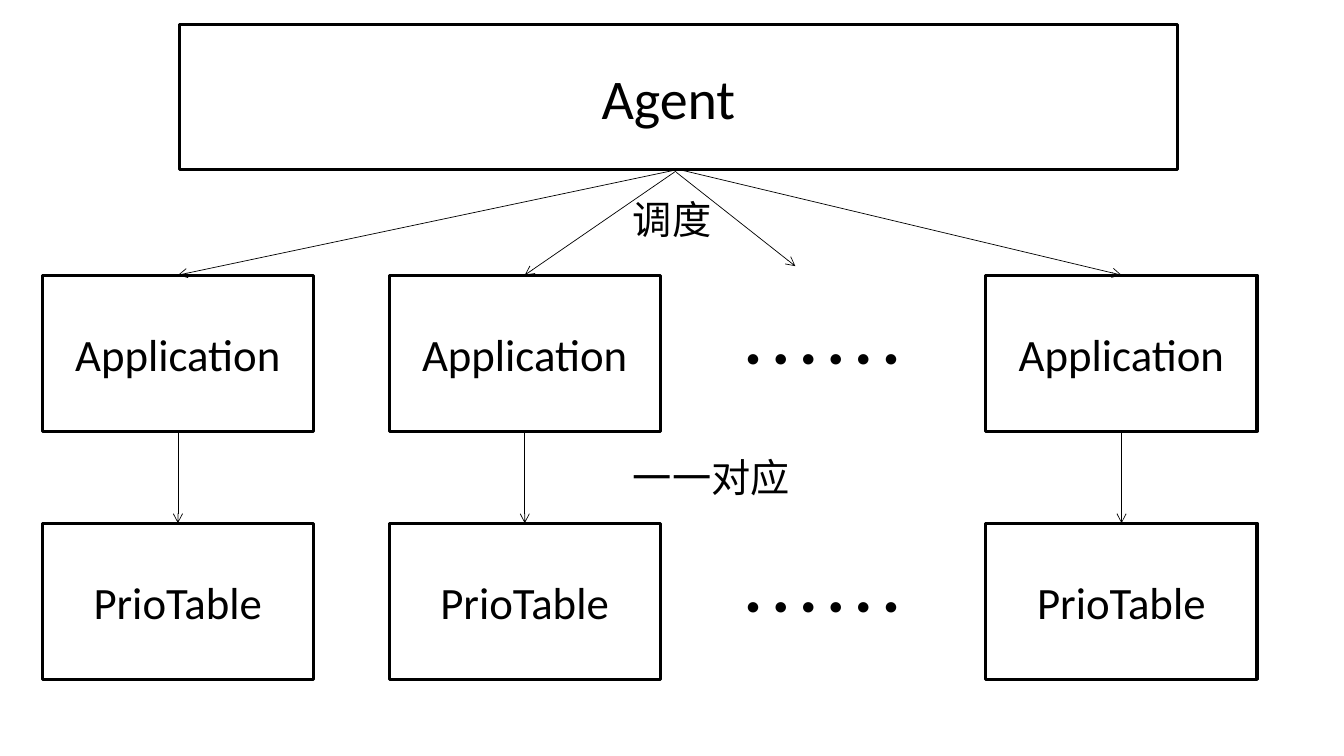
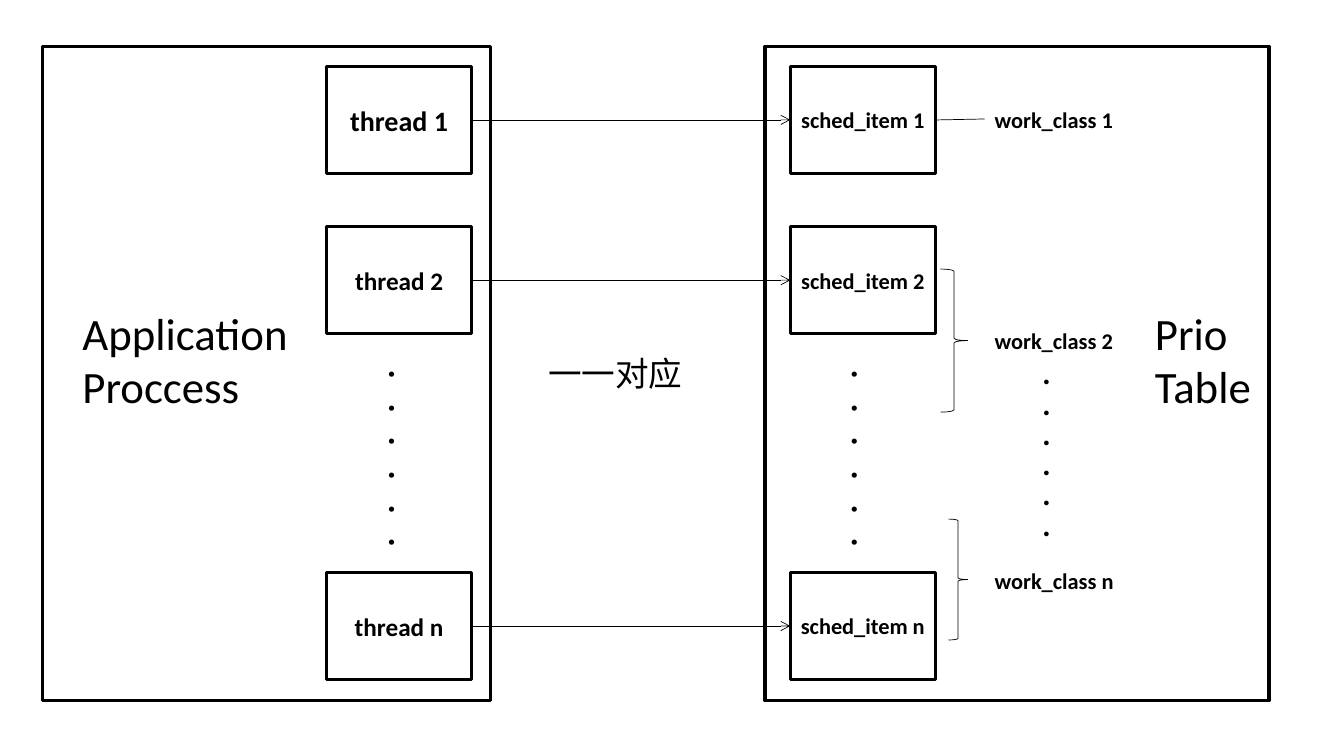
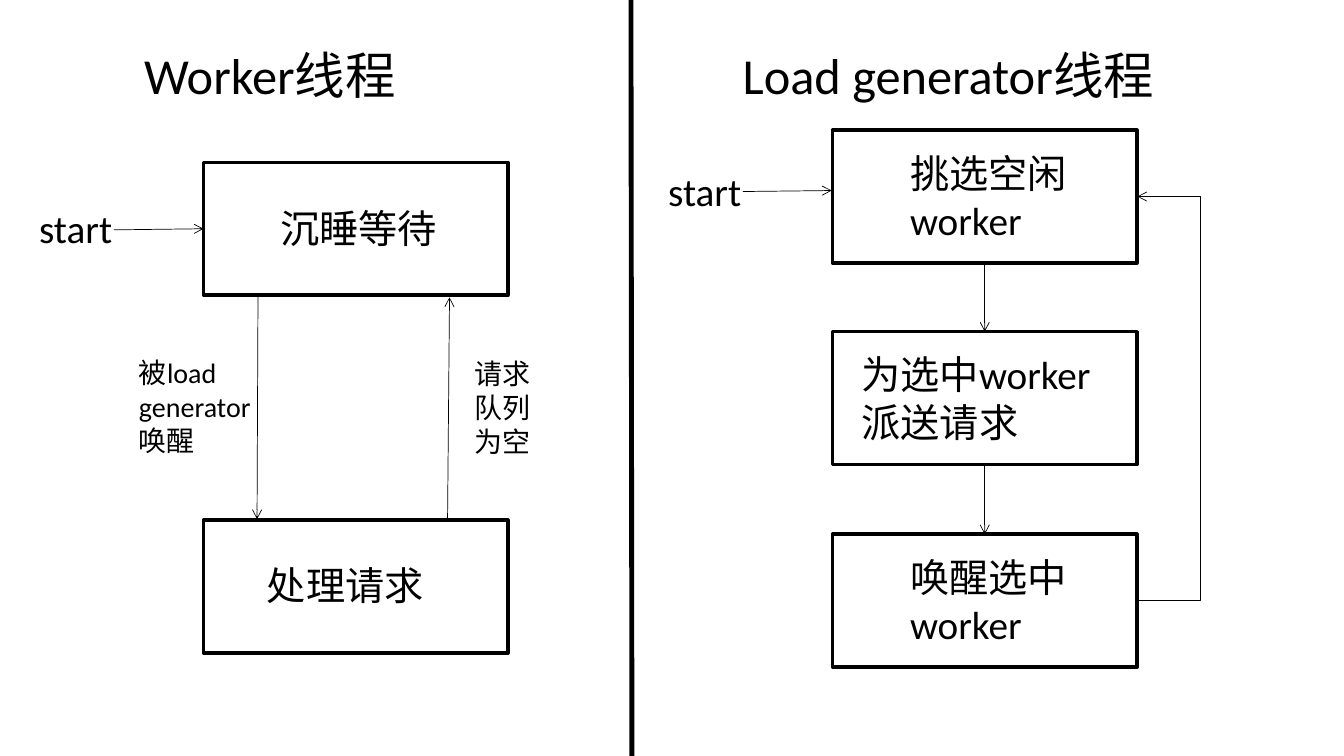
from lxml import etree
from pptx import Presentation
from pptx.dml.color import RGBColor
from pptx.enum.shapes import MSO_CONNECTOR, MSO_SHAPE
from pptx.enum.text import MSO_ANCHOR, MSO_AUTO_SIZE, PP_ALIGN
from pptx.oxml.ns import qn
from pptx.util import Pt

RECTANGLE, BRACE = MSO_SHAPE.RECTANGLE, MSO_SHAPE.RIGHT_BRACE
STRAIGHT, ELBOW = MSO_CONNECTOR.STRAIGHT, MSO_CONNECTOR.ELBOW
MIDDLE, CENTER, LEFT = MSO_ANCHOR.MIDDLE, PP_ALIGN.CENTER, PP_ALIGN.LEFT
FIT_SHAPE = MSO_AUTO_SIZE.SHAPE_TO_FIT_TEXT

COLORS = {"ink": "000000", "paper": "FFFFFF"}
INK = RGBColor.from_string(COLORS["ink"])
PAPER = RGBColor.from_string(COLORS["paper"])
FONT = "Calibri"
THIN, FRAME, HEAVY = 0.5, 2.25, 2.5
DOT = "\u00b7"


def add_box(page, left, top, width, height, lines=(), size=18, bold=False, frame=None):
    """Place a framed rectangle with centred text, or plain text without a frame."""
    place = Pt(left), Pt(top), Pt(width), Pt(height)
    if frame:
        box = page.shapes.add_shape(RECTANGLE, *place)
        box.shadow.inherit = False
        box.fill.solid()
        box.fill.fore_color.rgb = PAPER
        box.line.color.rgb = INK
        box.line.width = Pt(frame)
        box.text_frame.vertical_anchor = MIDDLE
        box.text_frame.margin_left = box.text_frame.margin_right = Pt(4)
    else:
        box = page.shapes.add_textbox(*place)
        box.text_frame.auto_size = FIT_SHAPE
    text = box.text_frame
    text.word_wrap = True
    for index, line in enumerate(lines):
        para = text.paragraphs[0] if index == 0 else text.add_paragraph()
        para.alignment = CENTER if frame else LEFT
        span = para.add_run()
        span.text = line
        span.font.name = FONT
        span.font.size = Pt(size)
        span.font.bold = bold
        span.font.color.rgb = INK


def add_line(page, x1, y1, x2, y2, weight=THIN, arrow=True, kind=STRAIGHT):
    line = page.shapes.add_connector(kind, Pt(x1), Pt(y1), Pt(x2), Pt(y2))
    line.line.color.rgb = INK
    line.line.width = Pt(weight)
    if arrow:
        etree.SubElement(line.line._get_or_add_ln(), qn("a:tailEnd"), type="arrow")
    etree.SubElement(line._element.spPr, qn("a:effectLst"))
    return line


deck = Presentation()
deck.slide_width, deck.slide_height = Pt(960), Pt(540)
blank = deck.slide_layouts[6]

# Slide 1: agent, applications and priority tables
page = deck.slides.add_slide(blank)
add_box(page, 128.2, 17.3, 712.8, 103.7, frame=FRAME)
add_box(page, 422.6, 41.8, 123, 55.4, ["Agent"], 40)

columns, node_width, node_height = (30.25, 278, 704.25), 193.7, 111.6
rows = {"Application": 196.5, "PrioTable": 373.7}
for name, top in rows.items():
    for left in columns:
        add_box(page, left, top, node_width, node_height, [name], 32, frame=FRAME)
    add_box(page, 525.6, top + 28, 149, 55.4, [" ".join(DOT * 6)], 40, True)

for left in columns:
    center = left + node_width / 2
    add_line(page, 484.6, 121, center, rows["Application"])
    add_line(page, center, rows["Application"] + node_height, center, rows["PrioTable"])
add_line(page, 483.1, 123.1, 568.1, 190.1)
add_box(page, 445, 136.1, 80.6, 41, ["调度"], 28)
add_box(page, 445, 320.4, 216, 41, ["一一对应"], 28)

# Slide 2: threads matched with scheduling items
page = deck.slides.add_slide(blank)
for left, width in ((30.25, 320.4), (546.5, 360)):
    add_box(page, left, 33.1, width, 467.3, frame=FRAME)

thread_left, item_left, cell_width, cell_height = 233.3, 564.5, 103.7, 76.3
for number, top, size in (("1", 47.5, 20), ("2", 162, 18), ("n", 409, 18)):
    middle = top + cell_height / 2
    add_box(page, thread_left, top, cell_width, cell_height,
            [f"thread {number}"], size, True, FRAME)
    add_box(page, item_left, top, cell_width, cell_height,
            [f"sched_item {number}"], 16, True, FRAME)
    add_line(page, thread_left + cell_width, middle, item_left, middle)

# Work classes and the items they group
for number, top in (("1", 72), ("2", 230.4), ("n", 401.8)):
    add_box(page, 703.4, top, 102.2, 26.6, [f"work_class {number}"], 16, True)
add_line(page, 668.2, 85.7, 703.4, 85, arrow=False)
for left, top, width, height in ((671.8, 192.2, 19.4, 102.2), (677.5, 370.8, 13.7, 86.4)):
    brace = page.shapes.add_shape(BRACE, Pt(left), Pt(top), Pt(width), Pt(height))
    brace.shadow.inherit = False
    brace.fill.background()
    brace.line.color.rgb = INK
    brace.line.width = Pt(THIN)

# Dot columns and labels
for left, top, height, size in ((270, 249.8, 152.6, 20), (600.5, 249.8, 152.6, 20),
                                (738, 257, 138.2, 18)):
    add_box(page, left, top, 30.2, height, DOT * 6, size, True)
add_box(page, 51.8, 214.6, 162.7, 85, ["Application", "Proccess"], 32)
add_box(page, 817.9, 214.6, 88.6, 85, ["Prio", "Table"], 32)
add_box(page, 384.5, 248.4, 115.2, 36, ["一一对应"], 24)

# Slide 3: worker thread beside load generator thread
page = deck.slides.add_slide(blank)
add_line(page, 450.7, 0, 451.4, 540, 3.5, arrow=False)
add_box(page, 95.8, 28.1, 228.2, 51.1, ["Worker线程"], 36)
add_box(page, 523.4, 28.1, 340.6, 51.1, ["Load generator线程"], 36)

# Steps: frame corner, then text place
step_width, step_height = 217.4, 95
for left, top, text_left, text_top, text_width, text_height, label in (
    (145.4, 115.9, 193, 142.6, 128.2, 41, "沉睡等待"),
    (145.4, 371.5, 183.6, 397.4, 184.3, 41, "处理请求"),
    (594.7, 92.9, 643, 103, 128.2, 74.9, "挑选空闲worker"),
    (594.7, 236.9, 608.4, 247, 194.4, 74.9, "为选中worker派送请求"),
    (594.7, 381.6, 643, 391.7, 128.2, 74.9, "唤醒选中worker"),
):
    add_box(page, left, top, step_width, step_height, frame=HEAVY)
    add_box(page, text_left, text_top, text_width, text_height, [label], 28)

# Starts and transitions
for left, top in ((20.9, 142.6), (470.2, 115.9)):
    add_box(page, left, top, 81.4, 41, ["start"], 28)
for ends in (
    (81.4, 164.2, 145.4, 163.4), (530.6, 136.8, 594, 136.1),
    (184.3, 211.7, 183.6, 370.8), (319.7, 370.1, 321.1, 212.4),
    (703.4, 188.6, 703.4, 236.9), (703.4, 331.9, 703.4, 381.6),
):
    add_line(page, *ends)
add_box(page, 92.2, 250.6, 98.6, 79.9, ["被load generator唤醒"], 20)
add_box(page, 331.9, 251.3, 74.2, 79.9, ["请求队列为空"], 20)

# Loop back to the first step, bending 44 pt to the right
loop_width = 0.25
loop = add_line(page, 812.2, 429.1, 812.2 + loop_width, 140.4, kind=ELBOW)
guides = loop._element.spPr.find(qn("a:prstGeom")).get_or_add_avLst()
etree.SubElement(guides, qn("a:gd"), name="adj1",
                 fmla=f"val {int(44 / loop_width * 100000)}")

deck.save("out.pptx")
